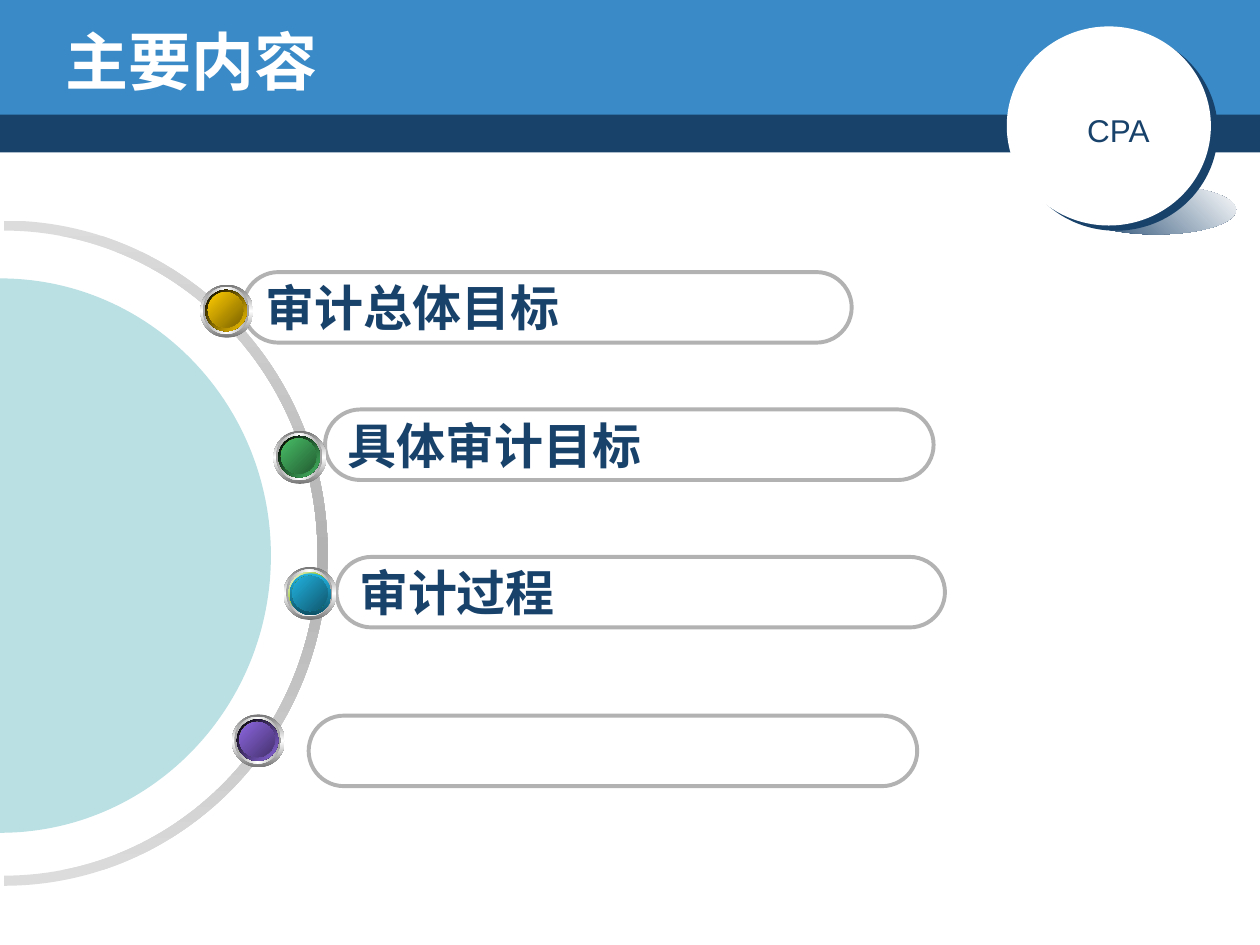
from dataclasses import dataclass
from typing import NamedTuple

from lxml.etree import SubElement
from pptx import Presentation
from pptx.dml.color import RGBColor
from pptx.enum.shapes import MSO_SHAPE as Preset
from pptx.enum.text import MSO_ANCHOR as Anchor, PP_ALIGN as Align
from pptx.oxml.ns import qn
from pptx.util import Inches, Pt


@dataclass(frozen=True)
class Theme:
    navy: str = "19426B"
    blue: str = "398AC7"
    white: str = "FFFFFF"
    pale: str = "BBE0E3"
    grey: str = "B2B2B2"
    silver: str = "DCDCDC"
    olive: str = "8BBC00"
    dark_olive: str = "4B6600"
    body_font: str = "Arial"
    title_font: str = "DejaVu Sans"
    title_size: int = 36
    item_size: int = 28
    badge_size: int = 18


THEME = Theme()
CURVE = 0.5523  # control point distance of a quarter ellipse


class Box(NamedTuple):
    left: float
    top: float
    width: float
    height: float


class Gradient(NamedTuple):
    colours: tuple[str, ...]
    angle: int  # clockwise degrees


class Item(NamedTuple):
    text: str
    pill: tuple[float, float]
    orb: tuple[float, float]
    rim: Gradient
    core: Gradient
    rim_inset: float = 0.04


class Layer(NamedTuple):
    inset: float
    width: float
    height: float
    fill: Gradient


ITEMS = [
    Item("审计总体目标", (1.93, 2.16), (1.59, 2.26),
         Gradient(("000000", "FFCC00"), 45), Gradient(("FFCC00", "7C6300"), 45)),
    Item("具体审计目标", (2.58, 3.25), (2.17, 3.42),
         Gradient(("000000", "48BE67"), 45), Gradient(("48BE67", "235C32"), 45)),
    Item("审计过程", (2.67, 4.42), (2.25, 4.5),
         Gradient(("21B3E1", "0F5368"), 90), Gradient(("21B3E1", "10576D"), 45), 0.05),
    Item("", (2.45, 5.68), (1.84, 5.67),
         Gradient(("000000", "8D67E1"), 45), Gradient(("8D67E1", "45326D"), 45)),
]


def paint(shape, fill: str | Gradient | None, line: str | None = None) -> None:
    shape.shadow.inherit = False
    if fill is None:
        shape.fill.background()
    elif isinstance(fill, str):
        shape.fill.solid()
        shape.fill.fore_color.rgb = RGBColor.from_string(fill)
    else:
        shape.fill.gradient()
        shape.fill.gradient_angle = (360 - fill.angle) % 360
        gradient = shape.element.spPr.find(qn("a:gradFill"))
        gradient.set("rotWithShape", "0")
        stops = gradient.find(qn("a:gsLst"))
        for stop in list(stops):
            stops.remove(stop)
        for index, colour in enumerate(fill.colours):
            position = 100000 * index // (len(fill.colours) - 1)
            stop = SubElement(stops, qn("a:gs"), pos=str(position))
            SubElement(stop, qn("a:srgbClr"), val=colour)
    if line:
        shape.line.color.rgb = RGBColor.from_string(line)
        shape.line.width = Pt(2.25)
    else:
        shape.line.fill.background()


def add_preset(shapes, preset: Preset, box: Box, fill: str | Gradient | None,
               line: str | None = None):
    shape = shapes.add_shape(preset, *map(Inches, box))
    paint(shape, fill, line)
    return shape


def write(shape, text: str, font: str, size: int, colour: str,
          bold: bool = False, wrap: bool = False) -> None:
    text_frame = shape.text_frame
    text_frame.text = text
    text_frame.word_wrap = wrap
    text_frame.vertical_anchor = Anchor.MIDDLE
    paragraph = text_frame.paragraphs[0]
    paragraph.alignment = Align.LEFT
    for run in paragraph.runs:
        run.font.name = font
        run.font.size = Pt(size)
        run.font.bold = bold
        run.font.color.rgb = RGBColor.from_string(colour)


def upper_half(x: float, y: float, rx: float, ry: float) -> list:
    """Seven Bezier points of the upper half ellipse, from left to right."""
    units = [(-1, 0), (-1, CURVE), (-CURVE, 1), (0, 1), (CURVE, 1), (1, CURVE), (1, 0)]
    return [(Inches(x + rx * u), Inches(y - ry * v)) for u, v in units]


def add_turned_half(shapes, arcs: list, height: float, fill: str | Gradient) -> None:
    """Joins the arcs, then turns them to the right about the full ellipse's centre."""
    points = [point for arc in arcs for point in arc]
    builder = shapes.build_freeform(*points[0])
    builder.add_line_segments(points[1:], close=True)
    shape = builder.convert_to_shape()
    outline = next(shape.element.iter(qn("a:path")))
    segments = list(outline)[:len(points)]
    for start in range(0, len(points), 7):
        for first in (start + 1, start + 4):
            curve = SubElement(outline, qn("a:cubicBezTo"))
            segments[first].addprevious(curve)
            for segment in segments[first:first + 3]:
                curve.append(segment[0])
                outline.remove(segment)
    outline.set("h", str(Inches(height)))
    shape.height = Inches(height)
    shape.rotation = 90
    paint(shape, fill)


def add_badge(shapes) -> None:
    group = shapes.add_group_shape().shapes
    add_preset(group, Preset.OVAL, Box(8.54, 1.47, 1.27, 0.39),
               Gradient((THEME.navy, THEME.white), 315))
    disc = add_preset(group, Preset.OVAL, Box(7.99, 0.21, 1.62, 1.58), THEME.white)
    effects = disc.element.spPr.find(qn("a:effectLst"))
    shadow = SubElement(effects, qn("a:outerShdw"), blurRad="0", dist=str(Pt(5)),
                        dir=str(37 * 60000), algn="ctr", rotWithShape="0")
    SubElement(shadow, qn("a:srgbClr"), val=THEME.navy)
    label = add_preset(group, Preset.OVAL, Box(8.4, 0.76, 0.89, 0.54), THEME.white)
    write(label, "CPA", THEME.body_font, THEME.badge_size, THEME.navy)


def add_pill(shapes, item: Item) -> None:
    pill = add_preset(shapes, Preset.ROUNDED_RECTANGLE, Box(*item.pill, 4.83, 0.56),
                      None, THEME.grey)
    pill.adjustments[0] = 0.5
    if item.text:
        write(pill, item.text, THEME.body_font, THEME.item_size, THEME.navy, bold=True)


def add_orb(shapes, item: Item) -> None:
    white, olive, dark = THEME.white, THEME.olive, THEME.dark_olive
    core_inset = item.rim_inset + 0.02
    layers = [
        Layer(0, 0.42, 0.42, Gradient(("767676", white, "767676"), 90)),
        Layer(0.02, 0.37, 0.37, Gradient(("A2A2A2", white, "A2A2A2"), 0)),
        Layer(0.04, 0.33, 0.33, Gradient((white, olive, white), 45)),
        Layer(item.rim_inset, 0.33, 0.33, item.rim),
        Layer(core_inset, 0.28, 0.28, Gradient((dark, olive, dark), 315)),
        Layer(core_inset, 0.28, 0.28, item.core),
    ]
    group = shapes.add_group_shape().shapes
    left, top = item.orb
    for layer in layers:
        box = Box(left + layer.inset, top + layer.inset, layer.width, layer.height)
        add_preset(group, Preset.OVAL, box, layer.fill)


def main() -> None:
    presentation = Presentation()
    presentation.slide_width, presentation.slide_height = Inches(10), Inches(7.5)
    slide = presentation.slides.add_slide(presentation.slide_layouts[6])
    shapes = slide.shapes

    # Header bands, badge and title
    add_preset(shapes, Preset.RECTANGLE, Box(0, 0.87, 10, 0.34), THEME.navy)
    add_preset(shapes, Preset.RECTANGLE, Box(0, 0, 10, 0.91), THEME.blue)
    add_badge(shapes)
    title = shapes.add_textbox(*map(Inches, Box(0.42, 0.17, 8.5, 0.62)))
    write(title, "主要内容", THEME.title_font, THEME.title_size, THEME.white,
          bold=True, wrap=True)

    # Half ring and half disc on the left edge
    outer = upper_half(-0.01, 4.35, 2.64, 2.57)
    inner = upper_half(-0.01, 4.35, 2.56, 2.49)
    add_turned_half(shapes, [outer, inner[::-1]], 5.22,
                    Gradient((THEME.silver, THEME.grey, THEME.silver), 270))
    add_turned_half(shapes, [upper_half(0, 4.41, 2.2, 2.15)], 4.3, THEME.pale)

    # Agenda items, with the orbs over the pills
    for item in reversed(ITEMS):
        add_pill(shapes, item)
    for item in ITEMS:
        add_orb(shapes, item)

    presentation.save("out.pptx")


if __name__ == "__main__":
    main()
